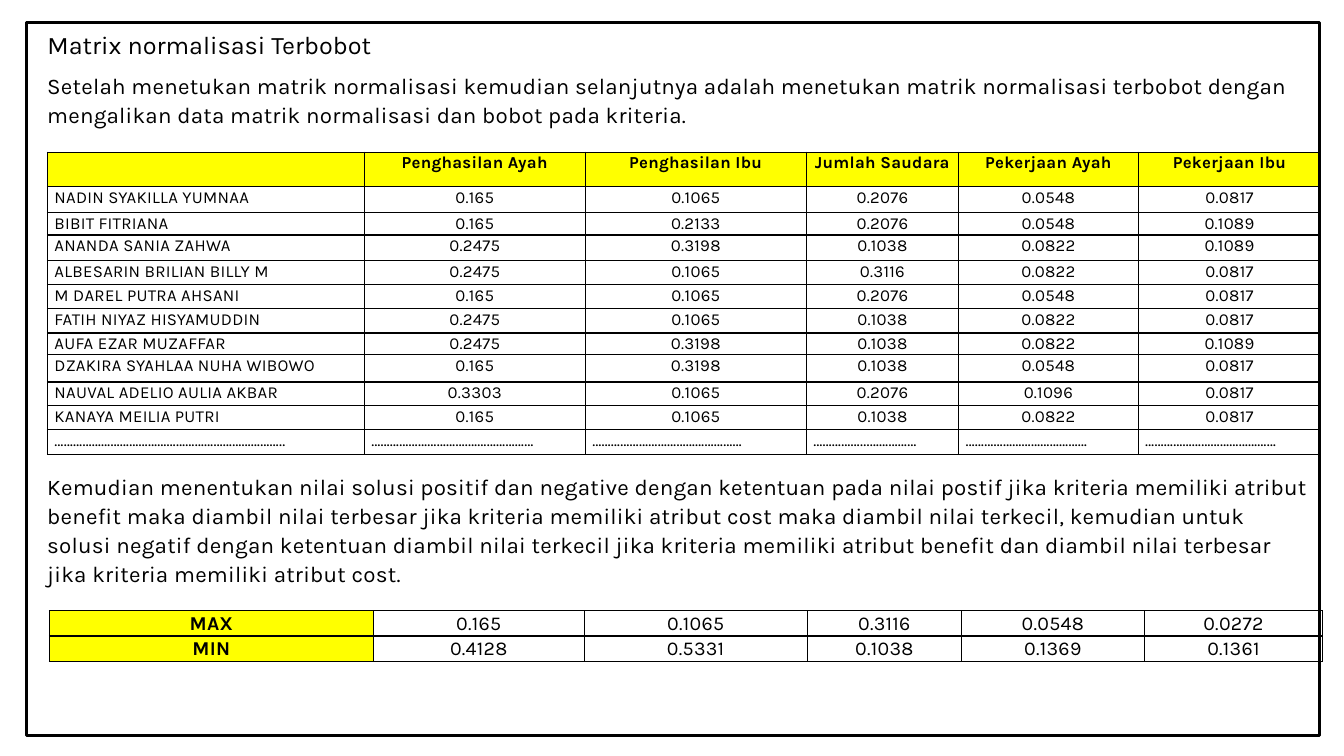
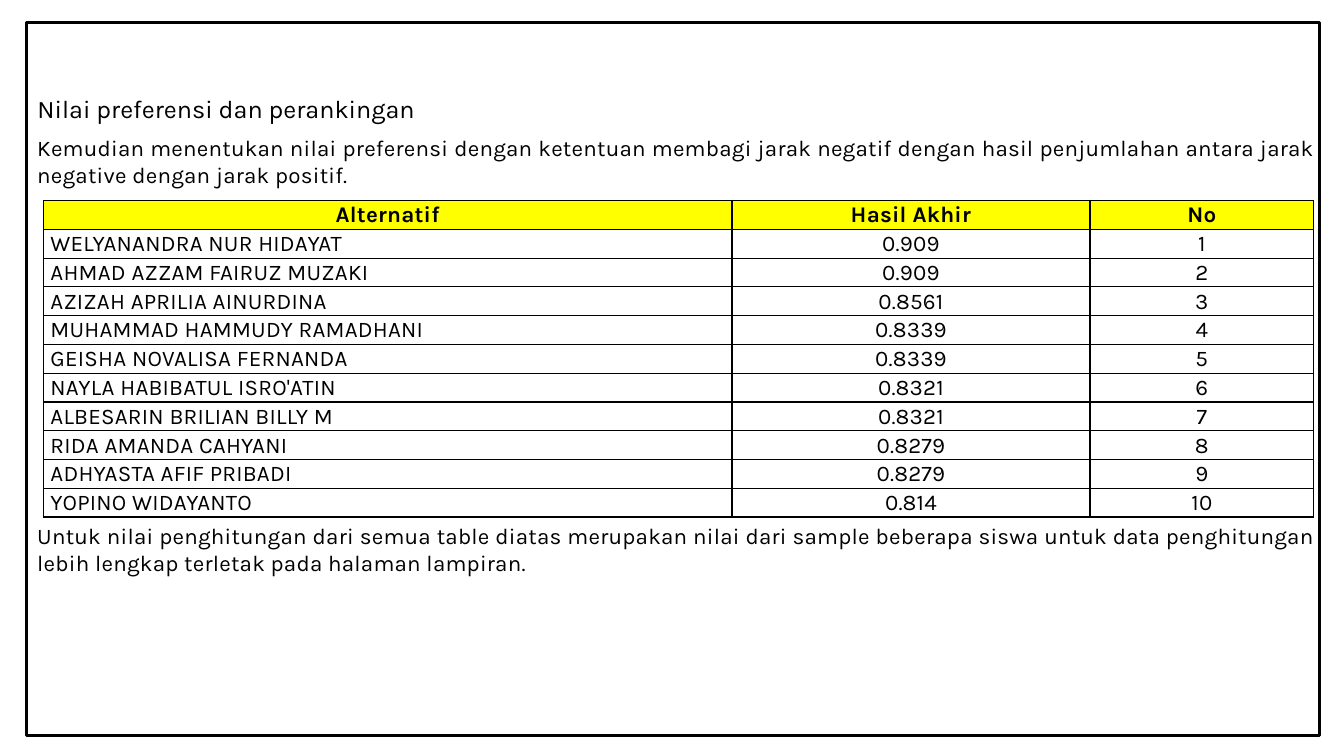
from dataclasses import dataclass

from lxml.etree import SubElement
from pptx import Presentation
from pptx.dml.color import RGBColor as Rgb
from pptx.enum.shapes import MSO_SHAPE as Preset
from pptx.enum.text import MSO_ANCHOR as Anchor, MSO_AUTO_SIZE as AutoSize, PP_ALIGN as Align
from pptx.oxml.ns import qn
from pptx.util import Inches, Pt


@dataclass(frozen=True)
class Theme:
    font: str = "Karla"
    ink: Rgb = Rgb(0x00, 0x00, 0x00)
    head: Rgb = Rgb(0xFF, 0xFF, 0x00)
    title_size: int = 18
    body_size: int = 16
    tracking: str = "20"
    table_spacing: float = 1.07
    cell_inset: float = 0.07
    border: int = 1
    frame: int = 2


theme = Theme()
deck = Presentation()
deck.slide_width, deck.slide_height = Inches(13.33), Inches(7.5)


def area(left, top, width, height):
    """Turn percentages of the slide into left, top, width and height."""
    return [int(share * side / 100) for share, side in zip(
        (left, top, width, height), (deck.slide_width, deck.slide_height) * 2)]


def write(frame, text, size, align=Align.LEFT, spacing=1.0, bold=False, tracking=theme.tracking):
    """Fill a text frame with one formatted paragraph."""
    paragraph = frame.paragraphs[0]
    paragraph.alignment, paragraph.line_spacing = align, spacing
    run = paragraph.add_run()
    run.text = text
    formats = {"name": theme.font, "size": Pt(size), "bold": bold}
    for attribute, value in formats.items():
        setattr(run.font, attribute, value)
    run.font.color.rgb = theme.ink
    run.font._element.set("spc", tracking)


# Content: places are percentages of the slide, columns and rows are relative weights
weighted_rows = [
    ["", "Penghasilan Ayah", "Penghasilan Ibu", "Jumlah Saudara", "Pekerjaan Ayah", "Pekerjaan Ibu"],
    ["NADIN SYAKILLA YUMNAA", "0.165", "0.1065", "0.2076", "0.0548", "0.0817"],
    ["BIBIT FITRIANA", "0.165", "0.2133", "0.2076", "0.0548", "0.1089"],
    ["ANANDA SANIA ZAHWA", "0.2475", "0.3198", "0.1038", "0.0822", "0.1089"],
    ["ALBESARIN BRILIAN BILLY M", "0.2475", "0.1065", "0.3116", "0.0822", "0.0817"],
    ["M DAREL PUTRA AHSANI", "0.165", "0.1065", "0.2076", "0.0548", "0.0817"],
    ["FATIH NIYAZ HISYAMUDDIN", "0.2475", "0.1065", "0.1038", "0.0822", "0.0817"],
    ["AUFA EZAR MUZAFFAR", "0.2475", "0.3198", "0.1038", "0.0822", "0.1089"],
    ["DZAKIRA SYAHLAA NUHA WIBOWO", "0.165", "0.3198", "0.1038", "0.0548", "0.0817"],
    ["NAUVAL ADELIO AULIA AKBAR", "0.3303", "0.1065", "0.2076", "0.1096", "0.0817"],
    ["KANAYA MEILIA PUTRI", "0.165", "0.1065", "0.1038", "0.0822", "0.0817"],
    ["………………………………………………………………..", "………………………….…………………",
     "…………………………………………", "……………...……………",
     "…………………………………", "……………………………………"],
]
solution_rows = [
    ["MAX", "0.165", "0.1065", "0.3116", "0.0548", "0.0272"],
    ["MIN", "0.4128", "0.5331", "0.1038", "0.1369", "0.1361"],
]
ranking = [
    ("WELYANANDRA NUR HIDAYAT", "0.909"),
    ("AHMAD AZZAM FAIRUZ MUZAKI", "0.909"),
    ("AZIZAH APRILIA AINURDINA", "0.8561"),
    ("MUHAMMAD HAMMUDY RAMADHANI", "0.8339"),
    ("GEISHA NOVALISA FERNANDA", "0.8339"),
    ("NAYLA HABIBATUL ISRO'ATIN", "0.8321"),
    ("ALBESARIN BRILIAN BILLY M", "0.8321"),
    ("RIDA AMANDA CAHYANI", "0.8279"),
    ("ADHYASTA AFIF PRIBADI", "0.8279"),
    ("YOPINO WIDAYANTO", "0.814"),
]
ranking_rows = [["Alternatif", "Hasil Akhir", "No"]] + [
    [name, score, str(place)] for place, (name, score) in enumerate(ranking, 1)]

pages = [
    {
        "title": ("Matrix normalisasi Terbobot", (2.78, 3.2, 27.31, 5.33)),
        "align": Align.LEFT,
        "spacing": 1.07,
        "texts": [
            ("Setelah menetukan matrik normalisasi kemudian selanjutnya adalah menetukan matrik "
             "normalisasi terbobot dengan mengalikan data matrik normalisasi dan bobot pada kriteria.",
             (2.78, 8.67, 95.57, 8.93)),
            ("Kemudian menentukan nilai solusi positif dan negative dengan ketentuan pada nilai "
             "postif jika kriteria memiliki atribut benefit maka diambil nilai terbesar jika kriteria "
             "memiliki atribut cost maka diambil nilai terkecil, kemudian untuk solusi negatif dengan "
             "ketentuan diambil nilai terkecil jika kriteria memiliki atribut benefit dan diambil "
             "nilai terbesar jika kriteria memiliki atribut cost.",
             (2.78, 61.73, 95.57, 16.67)),
        ],
        "tables": [
            {"rows": weighted_rows, "place": (3.53, 20.13, 94.75, 40), "size": 12, "head": "row",
             "columns": [314, 219, 219, 151, 178, 181],
             "heights": [34, 26, 22, 25, 24, 24, 24, 21, 27, 23, 24, 25]},
            {"rows": solution_rows, "place": (3.68, 80.8, 94.75, 6.67), "size": 14, "head": "column",
             "columns": [321, 209, 221, 153, 181, 177], "heights": [1] * 2},
        ],
    },
    {
        "title": ("Nilai preferensi dan perankingan", (2.03, 11.73, 31.21, 5.33)),
        "align": Align.JUSTIFY,
        "spacing": 1.0,
        "texts": [
            ("Kemudian menentukan nilai preferensi dengan ketentuan membagi jarak negatif dengan "
             "hasil penjumlahan antara jarak negative dengan jarak positif.",
             (2.03, 17.07, 96.7, 8.53)),
            ("Untuk nilai penghitungan dari semua table diatas merupakan nilai dari sample beberapa "
             "siswa untuk data penghitungan lebih lengkap terletak pada halaman lampiran.",
             (2.03, 68.4, 96.7, 8.53)),
        ],
        "tables": [
            {"rows": ranking_rows, "place": (3.23, 26.53, 94.52, 41.87), "size": 16, "head": "row",
             "columns": [683, 355, 222], "heights": [1] * 11},
        ],
    },
]

for page in pages:
    slide = deck.slides.add_slide(deck.slide_layouts[5])

    # Title
    title_text, place = page["title"]
    title = slide.shapes.title
    title.left, title.top, title.width, title.height = area(*place)
    title.text_frame.auto_size = AutoSize.NONE
    title.text_frame.word_wrap = False
    title.text_frame.vertical_anchor = Anchor.TOP
    write(title.text_frame, title_text, theme.title_size, tracking="0")

    # Explanations
    for text, place in page["texts"]:
        explanation = slide.shapes.add_textbox(*area(*place)).text_frame
        explanation.word_wrap = True
        write(explanation, text, theme.body_size, page["align"], page["spacing"])

    # Tables
    for spec_sheet in page["tables"]:
        rows, columns, heights = (spec_sheet[key] for key in ("rows", "columns", "heights"))
        left, top, width, height = area(*spec_sheet["place"])
        table = slide.shapes.add_table(len(rows), len(columns), left, top, width, height).table
        table.first_row = table.horz_banding = False
        for column, weight in zip(table.columns, columns):
            column.width = int(width * weight / sum(columns))
        for row, weight in zip(table.rows, heights):
            row.height = int(height * weight / sum(heights))

        for r, values in enumerate(rows):
            for c, value in enumerate(values):
                cell = table.cell(r, c)
                is_head = (r if spec_sheet["head"] == "row" else c) == 0
                cell.margin_left = cell.margin_right = Inches(theme.cell_inset)
                cell.margin_top = cell.margin_bottom = 0
                properties = cell._tc.get_or_add_tcPr()
                for side in ("a:lnL", "a:lnR", "a:lnT", "a:lnB"):
                    line = SubElement(properties, qn(side), w=str(Pt(theme.border)))
                    ink = SubElement(line, qn("a:solidFill"))
                    SubElement(ink, qn("a:srgbClr"), val=str(theme.ink))
                if is_head:
                    cell.fill.solid()
                    cell.fill.fore_color.rgb = theme.head
                else:
                    cell.fill.background()
                if value:
                    is_left = not is_head and (c == 0 or value.startswith("…"))
                    write(cell.text_frame, value, spec_sheet["size"],
                          Align.LEFT if is_left else Align.CENTER, theme.table_spacing, is_head)

    # Page frame
    border = slide.shapes.add_shape(Preset.RECTANGLE, *area(1.99, 2.93, 96.17, 94.4))
    border.shadow.inherit = False
    border.fill.background()
    border.line.color.rgb = theme.ink
    border.line.width = Pt(theme.frame)

deck.save("out.pptx")
